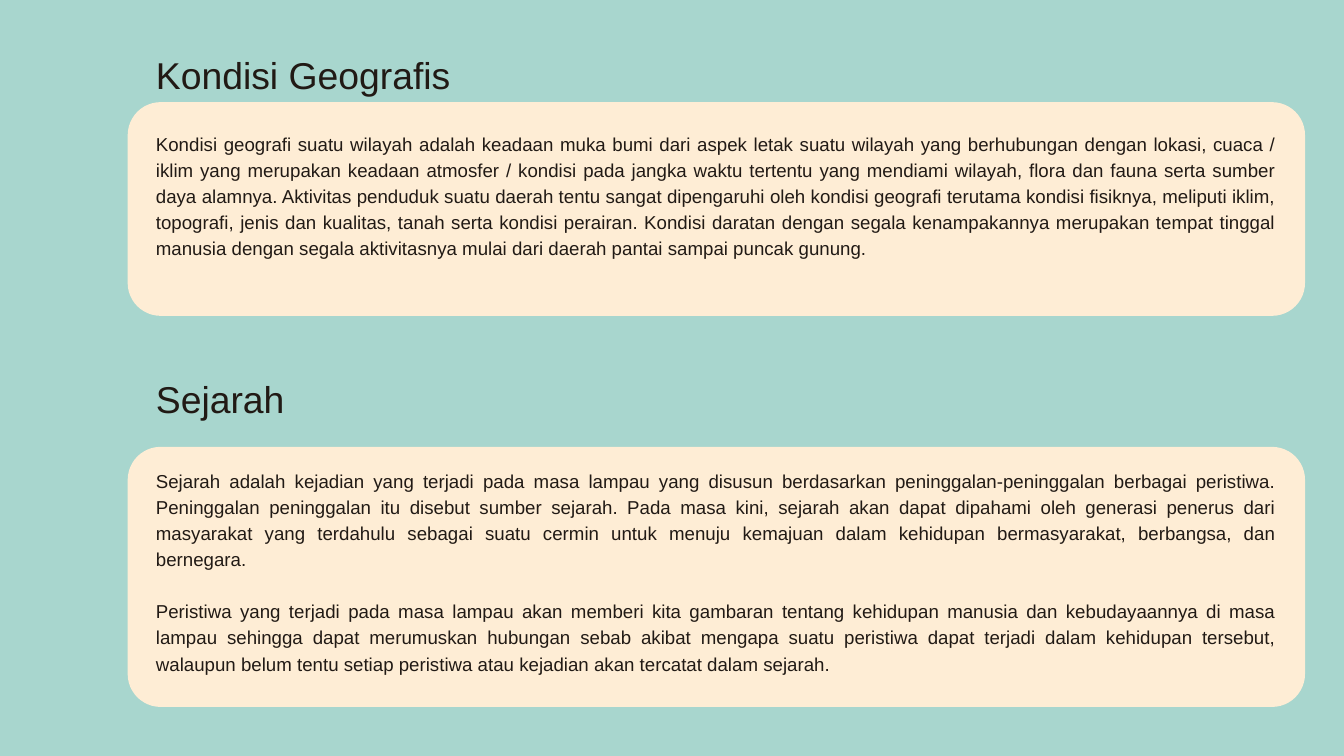
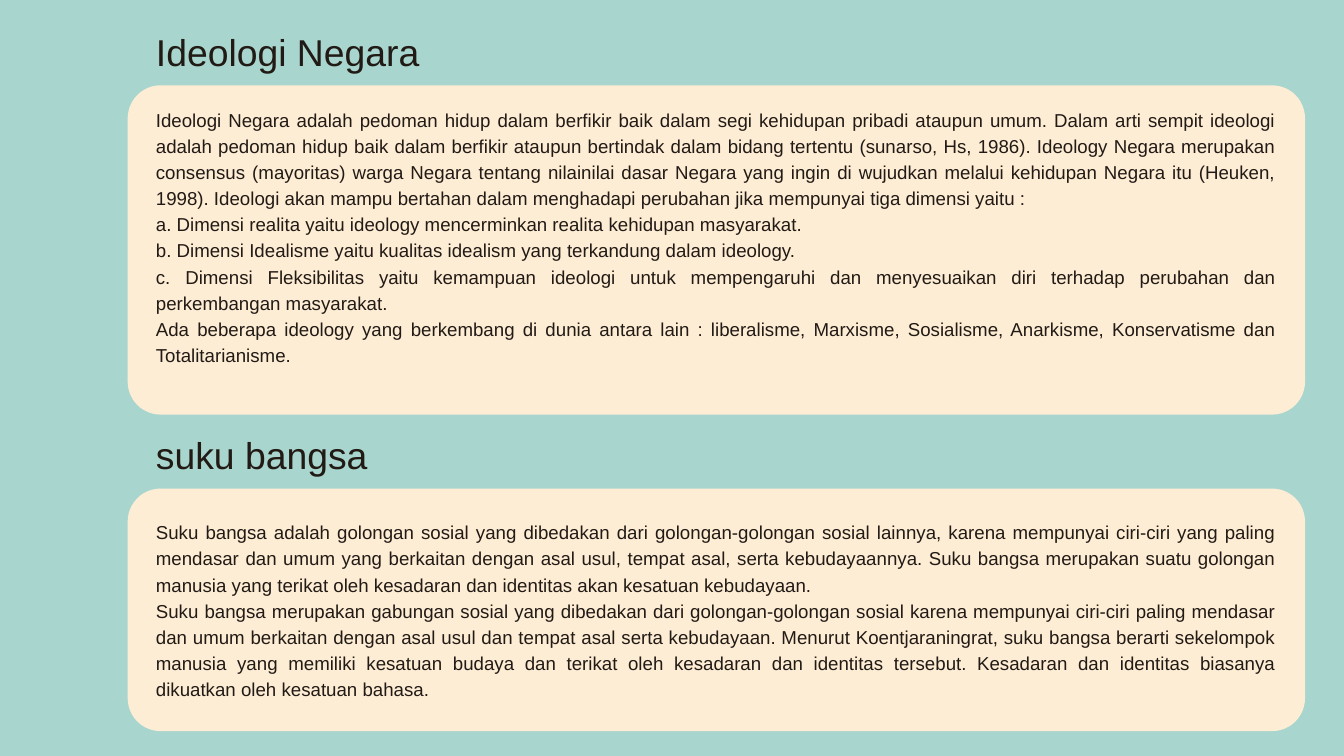
from dataclasses import dataclass

from pptx import Presentation
from pptx.dml.color import RGBColor
from pptx.enum.shapes import MSO_SHAPE
from pptx.enum.text import MSO_ANCHOR, MSO_AUTO_SIZE, PP_ALIGN
from pptx.util import Pt

SCALE = 9144  # EMU per px, 100 px to the inch


@dataclass(frozen=True)
class Theme:
    back: RGBColor = RGBColor.from_string("A8D6CE")
    card: RGBColor = RGBColor.from_string("FEEDD5")
    ink: RGBColor = RGBColor.from_string("211A15")
    font: str = "Arial"
    head: int = 40
    body: int = 20
    lead: float = 1.4  # line pitch as a multiple of the type size


THEME = Theme()
CARD_X, CARD_W, RADIUS = 190, 1752, 49
TEXT_X, TEXT_W = 232, 1667
HEAD_W, HEAD_H = 652, 80


def place(shape, x, y, w, h):
    shape.left, shape.top, shape.width, shape.height = (
        n * SCALE for n in (x, y, w, h))


def write(shape, lines, size, align=PP_ALIGN.LEFT, gap=0):
    """Fill a shape with paragraphs, gap points apart."""
    frame = shape.text_frame
    frame.word_wrap = True
    frame.auto_size = MSO_AUTO_SIZE.SHAPE_TO_FIT_TEXT
    frame.vertical_anchor = MSO_ANCHOR.TOP
    frame.margin_left = frame.margin_right = 0
    frame.margin_top = frame.margin_bottom = 0
    for i, line in enumerate(lines):
        para = frame.add_paragraph() if i else frame.paragraphs[0]
        para.alignment = align
        para.line_spacing = Pt(size * THEME.lead)
        para.space_before = Pt(gap if i else 0)
        run = para.add_run()
        run.text = line
        run.font.name = THEME.font
        run.font.size = Pt(size)
        run.font.color.rgb = THEME.ink


# Each topic: heading, its top, card top and height, text top and height,
# gap between paragraphs in points, paragraphs
SLIDES = [
    [
        ("Kondisi Geografis", 66, 152, 318, 192, 232, 0, [
            "Kondisi geografi suatu wilayah adalah keadaan muka bumi dari aspek "
            "letak suatu wilayah yang berhubungan dengan lokasi, cuaca / iklim "
            "yang merupakan keadaan atmosfer / kondisi pada jangka waktu tertentu "
            "yang mendiami wilayah, flora dan fauna serta sumber daya alamnya. "
            "Aktivitas penduduk suatu daerah tentu sangat dipengaruhi oleh kondisi "
            "geografi terutama kondisi fisiknya, meliputi iklim, topografi, jenis "
            "dan kualitas, tanah serta kondisi perairan. Kondisi daratan dengan "
            "segala kenampakannya merupakan tempat tinggal manusia dengan segala "
            "aktivitasnya mulai dari daerah pantai sampai puncak gunung.",
        ]),
        ("Sejarah", 549, 665, 387, 693, 348, 28, [
            "Sejarah adalah kejadian yang terjadi pada masa lampau yang disusun "
            "berdasarkan peninggalan-peninggalan berbagai peristiwa. Peninggalan "
            "peninggalan itu disebut sumber sejarah. Pada masa kini, sejarah akan "
            "dapat dipahami oleh generasi penerus dari masyarakat yang terdahulu "
            "sebagai suatu cermin untuk menuju kemajuan dalam kehidupan "
            "bermasyarakat, berbangsa, dan bernegara.",
            "Peristiwa yang terjadi pada masa lampau akan memberi kita gambaran "
            "tentang kehidupan manusia dan kebudayaannya di masa lampau sehingga "
            "dapat merumuskan hubungan sebab akibat mengapa suatu peristiwa dapat "
            "terjadi dalam kehidupan tersebut, walaupun belum tentu setiap "
            "peristiwa atau kejadian akan tercatat dalam sejarah.",
        ]),
    ],
    [
        ("Ideologi Negara", 33, 127, 490, 156, 425, 0, [
            "Ideologi Negara adalah pedoman hidup dalam berfikir baik dalam segi "
            "kehidupan pribadi ataupun umum. Dalam arti sempit ideologi adalah "
            "pedoman hidup baik dalam berfikir ataupun bertindak dalam bidang "
            "tertentu (sunarso, Hs, 1986). Ideology Negara merupakan consensus "
            "(mayoritas) warga Negara tentang nilainilai dasar Negara yang ingin "
            "di wujudkan melalui kehidupan Negara itu (Heuken, 1998). Ideologi "
            "akan mampu bertahan dalam menghadapi perubahan jika mempunyai tiga "
            "dimensi yaitu :",
            "a. Dimensi realita yaitu ideology mencerminkan realita kehidupan "
            "masyarakat.",
            "b. Dimensi Idealisme yaitu kualitas idealism yang terkandung dalam "
            "ideology.",
            "c. Dimensi Fleksibilitas yaitu kemampuan ideologi untuk mempengaruhi "
            "dan menyesuaikan diri terhadap perubahan dan perkembangan masyarakat.",
            "Ada beberapa ideology yang berkembang di dunia antara lain : "
            "liberalisme, Marxisme, Sosialisme, Anarkisme, Konservatisme dan "
            "Totalitarianisme.",
        ]),
        ("suku bangsa", 632, 727, 361, 770, 270, 0, [
            "Suku bangsa adalah golongan sosial yang dibedakan dari "
            "golongan-golongan sosial lainnya, karena mempunyai ciri-ciri yang "
            "paling mendasar dan umum yang berkaitan dengan asal usul, tempat "
            "asal, serta kebudayaannya. Suku bangsa merupakan suatu golongan "
            "manusia yang terikat oleh kesadaran dan identitas akan kesatuan "
            "kebudayaan.",
            "Suku bangsa merupakan gabungan sosial yang dibedakan dari "
            "golongan-golongan sosial karena mempunyai ciri-ciri paling mendasar "
            "dan umum berkaitan dengan asal usul dan tempat asal serta "
            "kebudayaan. Menurut Koentjaraningrat, suku bangsa berarti sekelompok "
            "manusia yang memiliki kesatuan budaya dan terikat oleh kesadaran dan "
            "identitas tersebut. Kesadaran dan identitas biasanya dikuatkan oleh "
            "kesatuan bahasa.",
        ]),
    ],
]

deck = Presentation()
deck.slide_width, deck.slide_height = 2000 * SCALE, 1125 * SCALE
fill = deck.slide_master.background.fill
fill.solid()
fill.fore_color.rgb = THEME.back

for topics in SLIDES:
    slide = deck.slides.add_slide(deck.slide_layouts.get_by_name("Title Only"))
    shapes = slide.shapes
    for i, topic in enumerate(topics):
        name, head_y, card_y, card_h, text_y, text_h, gap, lines = topic

        card = shapes.add_shape(MSO_SHAPE.ROUNDED_RECTANGLE, 0, 0, 0, 0)
        place(card, CARD_X, card_y, CARD_W, card_h)
        card.adjustments[0] = RADIUS / card_h
        card.shadow.inherit = False
        card.fill.solid()
        card.fill.fore_color.rgb = THEME.card
        card.line.fill.background()

        # The first heading is the slide title
        head = shapes.add_textbox(0, 0, 0, 0) if i else shapes.title
        place(head, TEXT_X, head_y, HEAD_W, HEAD_H)
        write(head, [name], THEME.head)

        body = shapes.add_textbox(0, 0, 0, 0)
        place(body, TEXT_X, text_y, TEXT_W, text_h)
        write(body, lines, THEME.body, align=PP_ALIGN.JUSTIFY, gap=gap)

deck.save("out.pptx")
